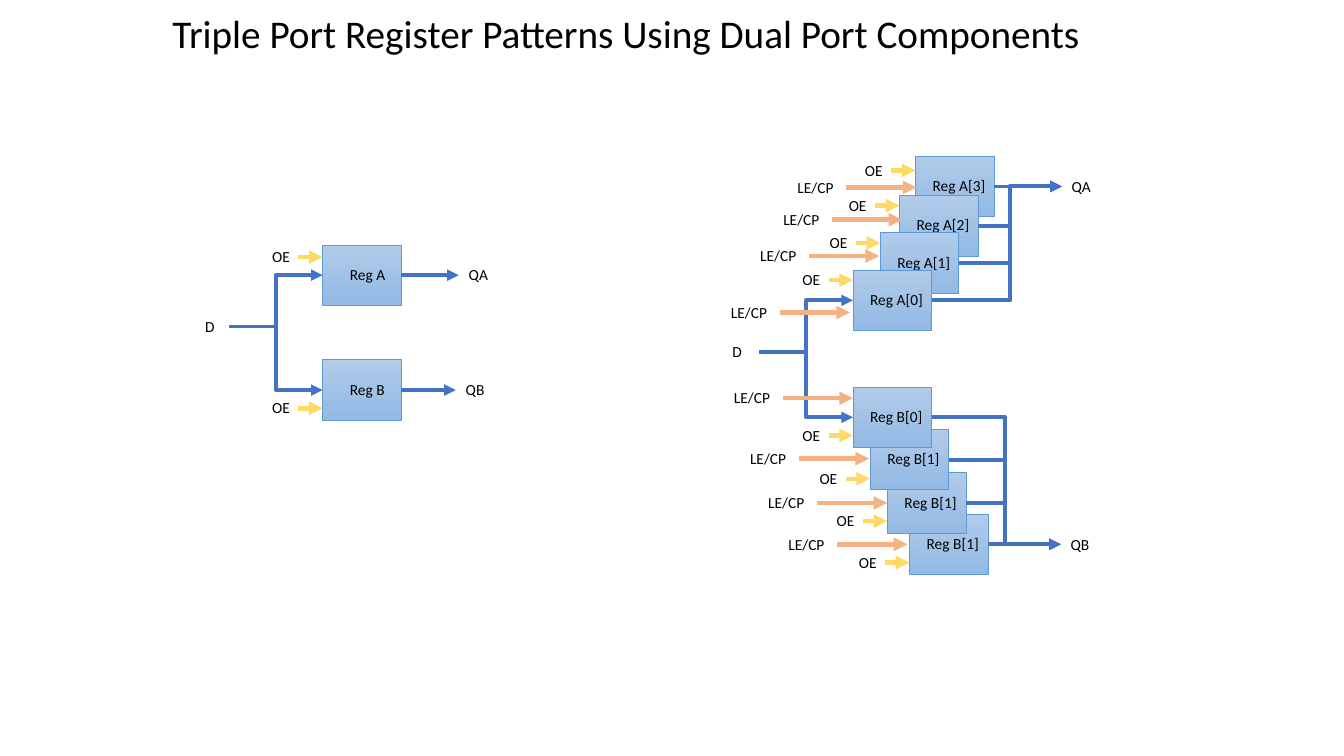
from lxml.etree import SubElement
from pptx import Presentation
from pptx.dml.color import RGBColor
from pptx.enum.shapes import MSO_CONNECTOR, MSO_SHAPE
from pptx.enum.text import MSO_ANCHOR, MSO_AUTO_SIZE, PP_ALIGN
from pptx.oxml.ns import qn
from pptx.util import Inches, Pt

COLORS = {"text": "000000", "top": "B1CBE9", "bottom": "93B9E4", "edge": "5B9BD5",
          "data": "4472C4", "enable": "FFD966", "latch": "F4B183"}
CELL = Inches(0.1)  # every length below counts cells of this grid
REG_W, REG_H = 7.8, 6
LABEL_H = 2.9

prs = Presentation()
prs.slide_width, prs.slide_height = Inches(13.33), Inches(7.5)
s = prs.slides.add_slide(prs.slide_layouts[5])


def write(text, x, y, w, h=LABEL_H, sp=None, size=11, anchor=MSO_ANCHOR.TOP,
          align=PP_ALIGN.LEFT, left=1, right=1, spacing=None, grow=True):
    box = [round(v * CELL) for v in (x, y, w, h)]
    if sp is None:
        sp = s.shapes.add_textbox(*box)
    sp.left, sp.top, sp.width, sp.height = box
    tf = sp.text_frame
    tf.word_wrap = True
    tf.auto_size = MSO_AUTO_SIZE.SHAPE_TO_FIT_TEXT if grow else MSO_AUTO_SIZE.NONE
    tf.vertical_anchor = anchor
    tf.margin_left, tf.margin_right = round(left * CELL), round(right * CELL)
    tf.margin_top = tf.margin_bottom = CELL // 2
    p = tf.paragraphs[0]
    p.alignment, p.line_spacing = align, spacing
    r = p.add_run()
    r.text = text
    r.font.name, r.font.size = "Calibri", Pt(size)
    r.font.color.rgb = RGBColor.from_string(COLORS["text"])


def wire(x1, y1, x2, y2, color="data", width=2.75, bend=None):
    """Arrow; with bend, an elbow whose upright part stands at that column."""
    kind = MSO_CONNECTOR.ELBOW if bend else MSO_CONNECTOR.STRAIGHT
    c = s.shapes.add_connector(kind, *[round(v * CELL) for v in (x1, y1, x2, y2)])
    c.line.color.rgb = RGBColor.from_string(COLORS[color])
    c.line.width = Pt(width)
    spPr = c._element.spPr
    SubElement(spPr.find(qn("a:ln")), qn("a:tailEnd"), type="triangle")
    SubElement(spPr, qn("a:effectLst"))
    if bend:
        share = round((bend - x1) / (x2 - x1) * 100000)
        guides = spPr.find(qn("a:prstGeom")).get_or_add_avLst()
        SubElement(guides, qn("a:gd"), name="adj1", fmla=f"val {share}")


# Title
write("Triple Port Register Patterns Using Dual Port Components",
      16.1, 0.4, 94.1, 5.7, sp=s.shapes.title, size=28)

# Registers, back to front:
# name, left, top, OE row, LE/CP row, LE/CP arrow tip, output end, output row, bus column
registers = [
    ("Reg B[1]", 90.2, 51, 55.8, 54, 90, 105.2, 54, None),
    ("Reg B[1]", 88, 46.9, 51.7, 49.9, 88, 105.2, 54, 99.7),
    ("Reg B[1]", 86.3, 42.6, 47.5, 45.5, 86.2, 105.2, 54, 99.7),
    ("Reg B[0]", 84.6, 38.4, 43.2, 39.5, 84.6, 105.2, 54, 99.7),
    ("Reg A[3]", 90.8, 15.5, 16.9, 18.6, 90.9, 105.3, 18.5, None),
    ("Reg A[2]", 89.2, 19.4, 20.4, 21.8, 89.5, 105.3, 18.5, 100.2),
    ("Reg A[1]", 87.3, 23.1, 24.1, 25.4, 87.2, 105.3, 18.5, 100.2),
    ("Reg A[0]", 84.6, 26.8, 27.8, 31, 84.3, 105.3, 18.5, 100.2),
    ("Reg B", 32, 35.7, 40.5, None, None, 45.2, 38.7, None),
    ("Reg A", 32, 24.3, 25.5, None, None, 45.5, 27.3, None),
]
for name, x, y, oe, latch, tip, end, row, bus in registers:
    sp = s.shapes.add_shape(MSO_SHAPE.RECTANGLE, 0, 0, CELL, CELL)
    sp.shadow.inherit = False
    sp.fill.gradient()
    sp.fill.gradient_angle = 270
    for stop, shade in zip(sp.fill.gradient_stops, ("top", "bottom")):
        stop.color.rgb = RGBColor.from_string(COLORS[shade])
    sp.line.color.rgb = RGBColor.from_string(COLORS["edge"])
    sp.line.width = Pt(0.5)
    write(name, x, y, REG_W, REG_H, sp=sp, anchor=MSO_ANCHOR.MIDDLE,
          align=PP_ALIGN.JUSTIFY, left=1.7 if latch else 2.7,
          right=0.4 if latch else 1, spacing=0.9, grow=False)
    wire(x + REG_W, y + REG_H / 2, end, row, bend=bus)

# Data inputs: column, row, label indent, target column, target rows
for x, y, indent, target, rows in [(22.7, 32.4, 1.65, 32, (27.3, 38.7)),
                                   (75.3, 34.9, 1.35, 84.6, (29.8, 41.4))]:
    write("D", x - 4, y - LABEL_H / 2, 4, left=indent)
    for row in rows:
        wire(x, y, target, row, bend=(x + target) / 2)

# Output labels
for text, x, y in [("QA", 45.5, 27.3), ("QB", 45.2, 38.7),
                   ("QA", 105.3, 18.5), ("QB", 105.2, 54)]:
    write(text, x, y - LABEL_H / 2, 4.2)

# Control inputs, on top of the data wires
for name, x, y, oe, latch, tip, *output in registers:
    wire(x - 2.4, oe, x, oe, "enable", 3.25)
    write("OE", x - 6, oe - LABEL_H / 2, 4.8)
    if latch:
        wire(tip - 6.95, latch, tip, latch, "latch", 3.25)
        write("LE/CP", tip - 12.8, latch - LABEL_H / 2, 5.8)

prs.save("out.pptx")
